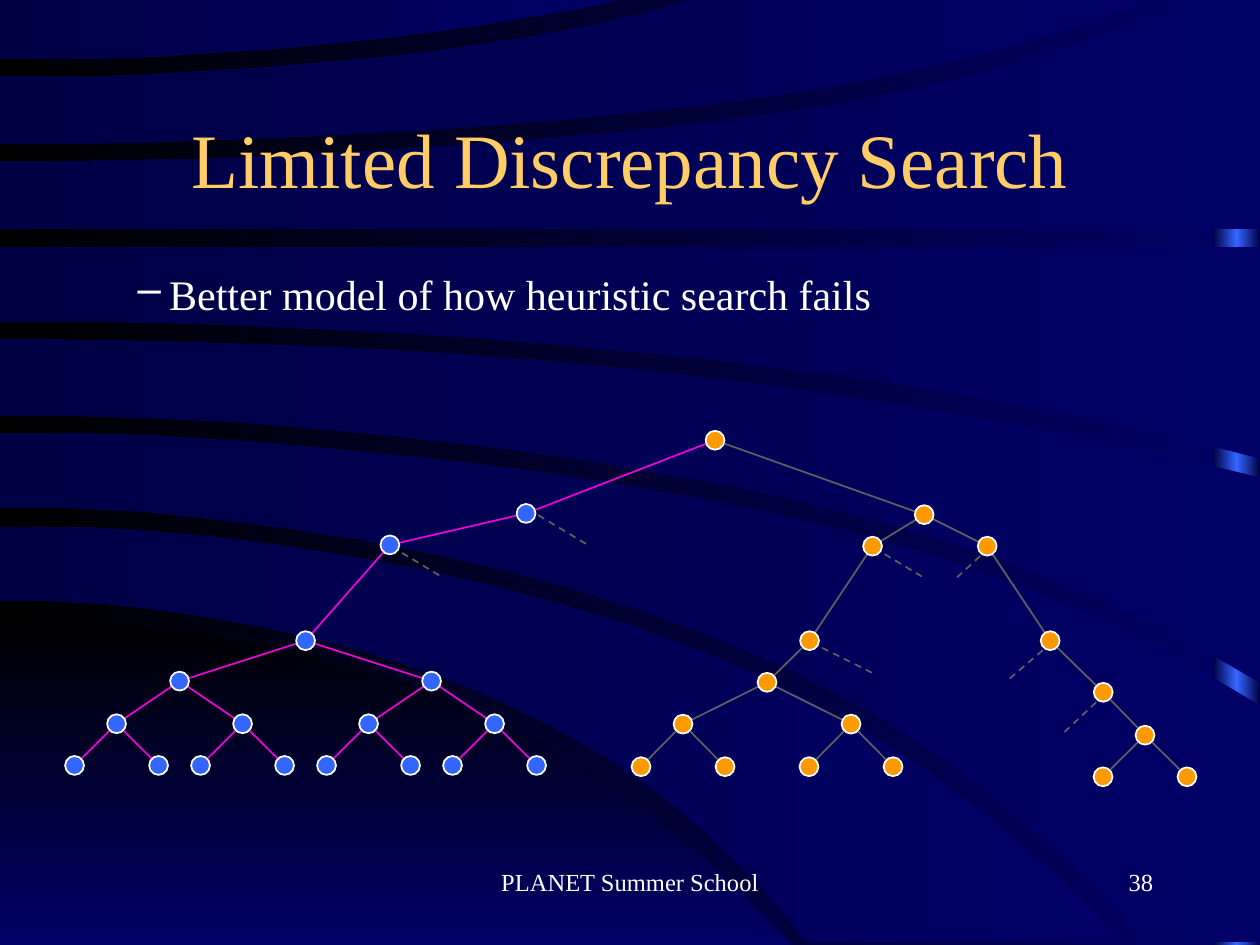
"""Build the Limited Discrepancy Search slide with its search tree."""
from copy import deepcopy
from dataclasses import dataclass
from math import prod
from typing import Optional

from lxml.etree import SubElement
from pptx import Presentation
from pptx.dml.color import RGBColor
from pptx.enum.dml import MSO_LINE_DASH_STYLE as Dash
from pptx.enum.shapes import MSO_CONNECTOR as Connector, MSO_SHAPE as Shape
from pptx.enum.text import MSO_ANCHOR as Anchor, PP_ALIGN as Align
from pptx.oxml.ns import qn
from pptx.util import Pt

COLORS = {
    "navy": "000066", "deep": "000044", "black": "000000", "blue": "3366FF", "orange": "FF9900",
    "white": "FFFFFF", "gold": "FFCC66", "magenta": "EE00D7", "gray": "5F5F5F",
}
FONT = "Times New Roman"
NODE_SIZE = 10.8
BAND_UNIT = Pt(0.72)
CURVE_STEPS = 16
PRUNED = (28.8, 17.3)


@dataclass
class Edge:
    """A curve from the left side to end_x, through evenly spaced heights."""
    end_x: float
    heights: tuple[float, ...]

    def height(self, ratio: float) -> float:
        """Interpolate the height at a ratio of the width."""
        last = len(self.heights) - 1
        position = ratio * last
        return sum(
            height * prod((position - j) / (i - j) for j in range(last + 1) if j != i)
            for i, height in enumerate(self.heights)
        )

    def points(self) -> list[tuple[float, float]]:
        """Sample the curve from left to right."""
        ratios = [step / CURVE_STEPS for step in range(CURVE_STEPS + 1)]
        return [(self.end_x * ratio, self.height(ratio)) for ratio in ratios]


@dataclass
class Node:
    """A tree node by its centre, with its parent and optional pruned branch."""
    x: float
    y: float
    color: str
    parent: Optional["Node"] = None
    stub: Optional[tuple[float, float]] = None
    stub_start: float = 1


@dataclass
class Label:
    """A text box with one formatted paragraph."""
    text: str
    box: tuple[float, float, float, float]
    size: float
    color: str
    align: Align = Align.LEFT
    anchor: Anchor = Anchor.TOP
    bullet: str = ""


CORNER = (Edge(628, (491, 504, 540, 614, 750)), Edge(628, (750, 750)))
BANDS = [
    (Edge(893, (418, 433, 480, 571, 748)), Edge(642, (477, 489, 527, 601, 748))),
    (Edge(1000, (344, 355, 386, 444, 560)), Edge(909, (403, 419, 467, 560, 748))),
    (Edge(1000, (269, 275, 293, 327, 379)), Edge(1000, (330, 340, 371, 429, 542))),
    (Edge(1000, (196, 196)), Edge(1000, (255, 261, 279, 311, 364))),
    (Edge(940, (128, 123, 107, 75, 0)), Edge(1000, (182, 182))),
    (Edge(548, (61, 58, 48, 31, 0)), Edge(913, (114, 109, 94, 64, 0))),
    (Edge(491, (0, 0)), Edge(491, (47, 45, 36, 22, 0))),
]
LABELS = [
    Label("Limited Discrepancy Search", (51, 30, 618, 90), 44, "gold", Align.CENTER, Anchor.BOTTOM),
    Label("Better model of how heuristic search fails", (44.6, 149.8, 627, 291), 24, "white", bullet="–"),
    Label("PLANET Summer School", (246, 492, 228, 36), 14, "white", Align.CENTER),
    Label("38", (516, 492, 150, 36), 14, "white", Align.RIGHT),
]


def rgb(name: str) -> RGBColor:
    """Look up a named colour."""
    return RGBColor.from_string(COLORS[name])


def set_gradient(fill, element, names: list[str], angle: float) -> None:
    """Give a fill evenly spaced gradient stops."""
    fill.gradient()
    fill.gradient_angle = angle
    stop_list = element.xpath(".//a:gsLst")[0]
    for _ in names[2:]:
        stop_list.insert(1, deepcopy(stop_list[0]))
    for index, (stop, name) in enumerate(zip(fill.gradient_stops, names)):
        stop.color.rgb = rgb(name)
        stop.position = index / (len(names) - 1)


def style_area(shape, names: list[str], angle: float) -> None:
    """Give a backdrop shape a gradient and no outline."""
    shape.shadow.inherit = False
    set_gradient(shape.fill, shape.element, names, angle)
    shape.line.fill.background()


def draw_band(slide, edges: tuple[Edge, Edge], names: list[str], angle: float) -> None:
    """Draw the area between two edges, squared off at its right end."""
    upper, lower = edges
    shorter, longer = sorted(edges, key=lambda edge: edge.end_x)
    corner = (longer.end_x, shorter.heights[-1])
    points = [*upper.points(), corner, *reversed(lower.points())]
    builder = slide.shapes.build_freeform(*points[0], scale=BAND_UNIT)
    builder.add_line_segments(points[1:], close=True)
    style_area(builder.convert_to_shape(), names, angle)


def draw_background(slide) -> None:
    """Draw the gradient backdrop, the edge strip and the curved bands."""
    set_gradient(slide.background.fill, slide.element, ["navy", "black"], 180)
    strip = slide.shapes.add_shape(Shape.RECTANGLE, Pt(693.4), 0, Pt(26.6), Pt(540))
    style_area(strip, ["deep", "blue", "deep"], 180)
    draw_band(slide, CORNER, ["black", "navy"], 270)
    for band in BANDS:
        draw_band(slide, band, ["navy", "deep"], 180)


def draw_label(slide, label: Label) -> None:
    """Draw one text box."""
    text_frame = slide.shapes.add_textbox(*map(Pt, label.box)).text_frame
    text_frame.word_wrap = True
    text_frame.vertical_anchor = label.anchor
    text_frame.text = label.text
    paragraph = text_frame.paragraphs[0]
    paragraph.alignment = label.align
    if label.bullet:
        paragraph.level = 1
        properties = paragraph._p.get_or_add_pPr()
        properties.set("marL", str(Pt(45)))
        properties.set("indent", str(Pt(-18)))
        SubElement(properties, qn("a:buChar")).set("char", label.bullet)
    font = paragraph.runs[0].font
    font.name, font.size = FONT, Pt(label.size)
    font.color.rgb = rgb(label.color)


def draw_line(slide, start: tuple[float, float], end: tuple[float, float], color: str, dashed: bool = False) -> None:
    """Draw a straight branch."""
    connector = slide.shapes.add_connector(Connector.STRAIGHT, *map(Pt, (*start, *end)))
    connector.line.color.rgb = rgb(color)
    connector.line.width = Pt(1)
    if dashed:
        connector.line.dash_style = Dash.DASH
    SubElement(connector.element.spPr, qn("a:effectLst"))


def draw_node(slide, node: Node) -> None:
    """Draw a node as a circle around its centre."""
    corner = Pt(node.x - NODE_SIZE / 2), Pt(node.y - NODE_SIZE / 2)
    shape = slide.shapes.add_shape(Shape.OVAL, *corner, Pt(NODE_SIZE), Pt(NODE_SIZE))
    shape.shadow.inherit = False
    shape.fill.solid()
    shape.fill.fore_color.rgb = rgb(node.color)
    shape.line.color.rgb = rgb("white")
    shape.line.width = Pt(1)


def subtree(root: Node, levels: list[tuple[float, float]]) -> list[Node]:
    """Return a root and its symmetric descendants, one (spread, y) per level."""
    nodes, row = [root], [root]
    for spread, y in levels:
        row = [Node(parent.x + side * spread, y, root.color, parent) for parent in row for side in (-1, 1)]
        nodes += row
    return nodes


def build_tree() -> list[Node]:
    """Return all nodes of the search tree."""
    root = Node(408.6, 251.6, "orange")
    first = Node(300.6, 293.4, "blue", root, PRUNED, 7)
    second = Node(222.8, 311.4, "blue", first, PRUNED)
    third = Node(174.6, 366.1, "blue", second)
    right = Node(528.1, 294.1, "orange", root)
    inner = Node(498.6, 312.1, "orange", right, PRUNED)
    outer = Node(564.1, 312.1, "orange", right, (-18.7, 17.3))
    inner_low = Node(462.6, 366.1, "orange", inner, (34.6, 17.3))
    outer_low = Node(600.1, 366.1, "orange", outer, (-25.2, 21.6))
    outer_next = Node(630.4, 395.6, "orange", outer_low, (-24.5, 23))
    return [
        root, first, second, right, inner, outer, inner_low, outer_low, outer_next,
        *subtree(third, [(72, 389.2), (36, 413.6), (24, 437.4)]),
        *subtree(Node(438.3, 389.9, "orange", inner_low), [(48, 413.8), (24, 438.1)]),
        *subtree(Node(654.3, 420.1, "orange", outer_next), [(24, 443.9)]),
    ]


def draw_tree(slide) -> None:
    """Draw branches first and nodes on top of them."""
    nodes = build_tree()
    for node in nodes:
        if node.parent:
            color = "magenta" if node.color == "blue" else "gray"
            draw_line(slide, (node.parent.x, node.parent.y), (node.x, node.y), color)
        if node.stub:
            start = node.x + node.stub_start, node.y + 1
            draw_line(slide, start, (start[0] + node.stub[0], start[1] + node.stub[1]), "gray", True)
    for node in nodes:
        draw_node(slide, node)


def main() -> None:
    """Create and save the presentation."""
    presentation = Presentation()
    presentation.slide_width, presentation.slide_height = Pt(720), Pt(540)
    slide = presentation.slides.add_slide(presentation.slide_layouts[6])
    draw_background(slide)
    for label in LABELS:
        draw_label(slide, label)
    draw_tree(slide)
    presentation.save("out.pptx")


if __name__ == "__main__":
    main()
